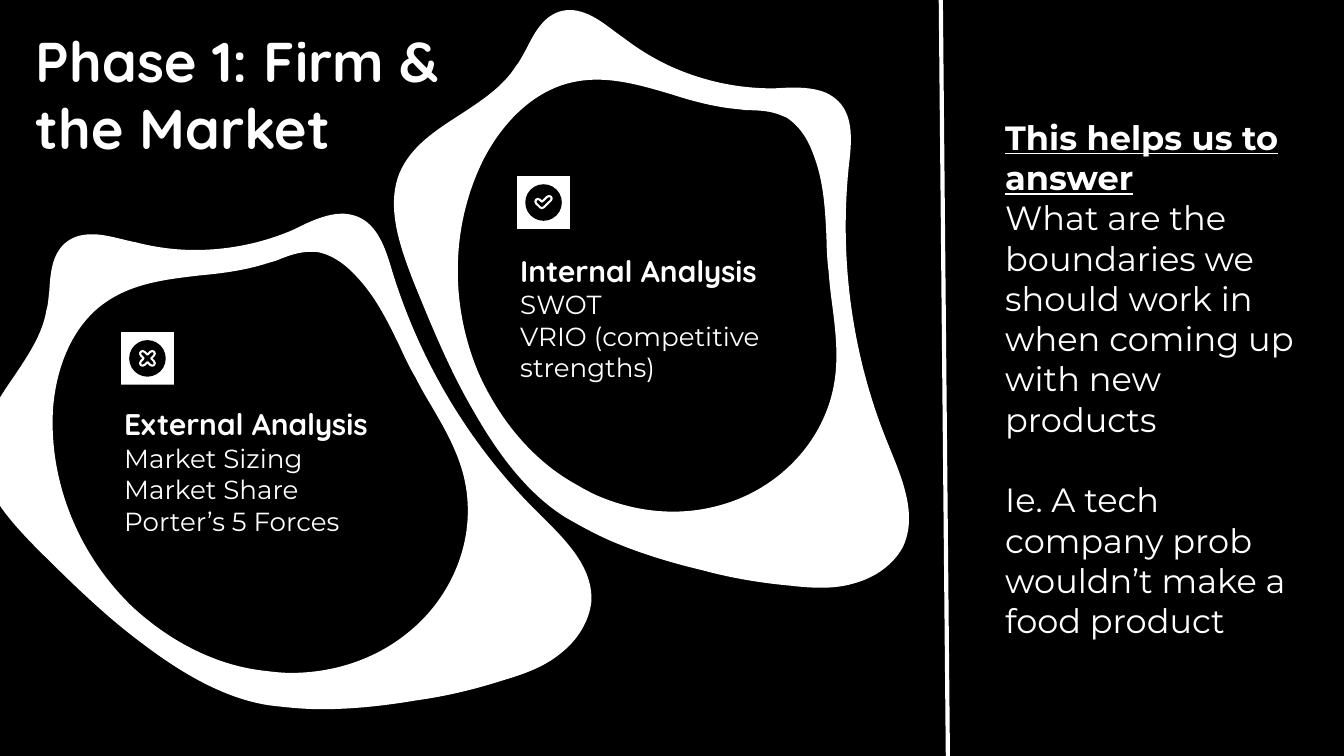
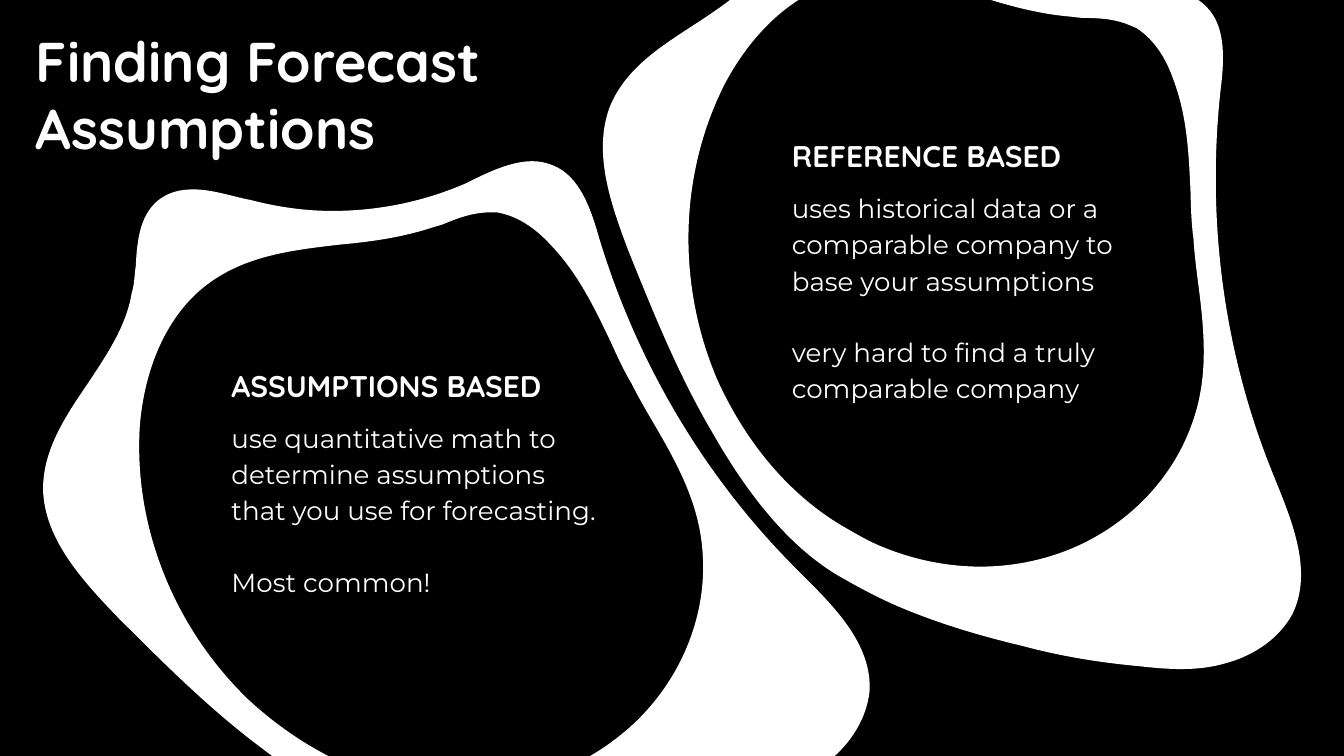
from lxml import etree
from pptx import Presentation
from pptx.dml.color import RGBColor
from pptx.enum.shapes import MSO_CONNECTOR, MSO_SHAPE
from pptx.enum.text import MSO_ANCHOR, MSO_AUTO_SIZE, PP_ALIGN
from pptx.oxml.ns import qn
from pptx.util import Pt

RECT, OVAL = MSO_SHAPE.RECTANGLE, MSO_SHAPE.OVAL
STRAIGHT = MSO_CONNECTOR.STRAIGHT
TOP, LEFT, FIXED = MSO_ANCHOR.TOP, PP_ALIGN.LEFT, MSO_AUTO_SIZE.NONE

BLACK = RGBColor(0, 0, 0)
WHITE = RGBColor(255, 255, 255)
HEAD, BODY = "Quicksand", "Montserrat"
INSET = 7.2
LAYOUT = 4  # title with two headed columns
TILT = 23

# Ring tracks on a grid: a start, then curves (6 numbers) and lines (2)
GRID = (614, 501)
HOLE = [
    (331, 36), (333, 36, 335, 36, 337, 36), (355, 39, 369, 51, 378, 61),
    (398, 82, 410, 107, 422, 132), (427, 143, 432, 154, 438, 164),
    (442, 172, 446, 179, 450, 186), (470, 220, 489, 252, 491, 292),
    (494, 342, 471, 393, 430, 426), (397, 453, 355, 467, 311, 467),
    (303, 467, 294, 466, 286, 465), (237, 460, 190, 436, 151, 400),
    (95, 346, 65, 270, 70, 195), (74, 148, 93, 109, 123, 88),
    (151, 68, 185, 64, 219, 60), (241, 58, 264, 55, 286, 48),
    (289, 47, 293, 46, 296, 45), (308, 40, 319, 36, 331, 36),
]
RIM = [
    (363, 0), (350, 0, 335, 6, 321, 13), (319, 14, 317, 15, 315, 16),
    (283, 30, 249, 37, 214, 37), (194, 37, 173, 34, 154, 29), (149, 28),
    (136, 25, 123, 21, 111, 21), (101, 21, 92, 23, 84, 30),
    (72, 41, 70, 58, 69, 77), (68, 84, 68, 91, 66, 97),
    (62, 122, 47, 144, 33, 165), (16, 190, 0, 214, 0, 243),
    (1, 279, 28, 309, 55, 337), (89, 371, 124, 406, 163, 435),
    (210, 471, 251, 491, 289, 497), (305, 499, 324, 501, 343, 501),
    (371, 501, 403, 498, 438, 492), (467, 488, 496, 481, 524, 472),
    (544, 466, 565, 459, 582, 445), (600, 431, 611, 412, 613, 393),
    (615, 358, 586, 330, 562, 306), (558, 302),
    (490, 234, 440, 149, 412, 57), (406, 36, 398, 11, 378, 3),
    (373, 1, 368, 0, 363, 0),
]

# Icon marks in points from the centre of the disk
ARM = [(1.5, -3.5), (2.9, -4.9, 4.9, -2.9, 3.5, -1.5), (2, 0)]
CHECK = [
    (-2, -1.5), (-0.8, -0.4), (2, -3.1), (3.4, -4.3, 5.2, -2.5, 4, -1.2),
    (0.1, 2.6), (-0.5, 3.2, -1.2, 3.2, -1.8, 2.6), (-4, 0.5),
    (-5.2, -0.8, -3.4, -2.9, -2, -1.5),
]


def spin(part):
    """Turn a part a quarter round the centre."""
    return tuple(n for x, y in zip(part[::2], part[1::2]) for n in (-y, x))


def cross():
    parts, arm = [(0, -2)], ARM
    for _ in range(4):
        parts += arm
        arm = [spin(part) for part in arm]
    return parts


def outline(slide, left, top, tracks, units):
    """Draw closed tracks as one freeform, with true curves."""
    tracks = [[[round(n * units[i % 2]) for i, n in enumerate(part)]
               for part in track] for track in tracks]
    build = None
    for track in tracks:
        if build is None:
            build = slide.shapes.build_freeform(*track[0])
        else:
            build.move_to(*track[0])
        build.add_line_segments([part[-2:] for part in track[1:]], close=True)
    shape = build.convert_to_shape(Pt(left), Pt(top))

    # Bend each segment that has control points
    parts = [part for track in tracks for part in track]
    base = min(part[-2] for part in parts), min(part[-1] for part in parts)
    steps = [part for track in tracks for part in track[1:]]
    lines = list(shape._element.iter(qn("a:lnTo")))
    for line, part in zip(lines, steps):
        if len(part) == 6:
            curve = etree.Element(qn("a:cubicBezTo"))
            for x, y in zip(part[::2], part[1::2]):
                etree.SubElement(curve, qn("a:pt"),
                                 x=str(x - base[0]), y=str(y - base[1]))
            line.getparent().replace(line, curve)
    return shape


def paint(shape, fill, edge=None, width=0):
    shape.shadow.inherit = False
    shape.fill.solid()
    shape.fill.fore_color.rgb = fill
    if edge is None:
        shape.line.fill.background()
    else:
        shape.line.color.rgb = edge
        shape.line.width = Pt(width)


def ring(slide, left, top, width, height, turn=0):
    units = Pt(width) / GRID[0], Pt(height) / GRID[1]
    shape = outline(slide, left, top, [HOLE, RIM], units)
    paint(shape, WHITE, WHITE, 1.5)
    shape.rotation = turn


def icon(slide, x, y, mark):
    for kind, size, color in ((RECT, 28.2, WHITE), (OVAL, 19.6, BLACK)):
        shape = slide.shapes.add_shape(kind, Pt(x - size / 2), Pt(y - size / 2),
                                       Pt(size), Pt(size))
        paint(shape, color)
    paint(outline(slide, x, y, [mark], (Pt(1), Pt(1))), BLACK, WHITE, 1.1)


def write(box, place, lines, font, size, bold=False, space=1, gaps=()):
    """Place a text shape and fill it, one paragraph a line."""
    box.left, box.top, box.width, box.height = (Pt(n) for n in place)
    frame = box.text_frame
    frame.word_wrap = True
    frame.auto_size = FIXED
    frame.vertical_anchor = TOP
    frame.margin_left = frame.margin_right = Pt(INSET)
    frame.margin_top = frame.margin_bottom = Pt(INSET)
    for i, line in enumerate(lines):
        para = frame.add_paragraph() if i else frame.paragraphs[0]
        props = para._p.get_or_add_pPr()
        props.set("marL", "0")
        props.set("indent", "0")
        etree.SubElement(props, qn("a:buNone"))
        para.alignment = LEFT
        para.line_spacing = space
        para.space_before = Pt(gaps[i] if gaps else 0)
        para.space_after = Pt(0)
        run = para.add_run()
        run.text = line
        run.font.name = font
        run.font.size = Pt(size)
        run.font.bold = bold
        run.font.color.rgb = WHITE
    return frame


def topic(slide, index, left, top, width, drop, name, lines, **style):
    """Fill a heading and the list below it."""
    holders = slide.placeholders
    write(holders[index], (left, top, width, drop + 3), [name], HEAD, 16, True)
    write(holders[index + 1], (left, top + drop, width, 96.5 if style else 70.5),
          lines, BODY, 14, **style)


def start(deck, title, width):
    slide = deck.slides.add_slide(deck.slide_layouts[LAYOUT])
    write(slide.shapes.title, (11.9, 7, width, 87), [title], HEAD, 30, True)
    return slide


def rule(slide, x1, y1, x2, y2):
    line = slide.shapes.add_connector(STRAIGHT, Pt(x1), Pt(y1), Pt(x2), Pt(y2))
    line.line.color.rgb = WHITE
    line.line.width = Pt(2.25)
    etree.SubElement(line._element.spPr, qn("a:effectLst"))


def market(deck):
    slide = start(deck, "Phase 1: Firm & the Market", 235)
    topic(slide, 1, 59.3, 210.2, 155.5, 19.6, "External Analysis",
          ["Market Sizing", "Market Share", "Porter’s 5 Forces"])
    topic(slide, 3, 271.5, 128, 155.5, 19.5, "Internal Analysis",
          ["SWOT", "VRIO (competitive strengths)"])
    icon(slide, 79, 192, cross())
    icon(slide, 291.2, 108.5, CHECK)
    ring(slide, -9.4, 115.2, 326, 264)
    ring(slide, 200.2, 28.1, 325.5, 264.5, TILT)

    # Side column
    rule(slide, 504, -0.7, 507.8, 406)
    place = (531.4, 55.2, 170, 294.5)
    box = slide.shapes.add_textbox(*(Pt(n) for n in place))
    frame = write(box, place, [
        "This helps us to answer",
        "What are the boundaries we should work in when coming up with new products",
        "Ie. A tech company prob wouldn’t make a food product",
    ], BODY, 18, gaps=(0, 0, 21.6))
    lead = frame.paragraphs[0].runs[0].font
    lead.bold = lead.underline = True


def forecast(deck):
    slide = start(deck, "Finding Forecast Assumptions", 294)
    topic(slide, 1, 116.8, 189.7, 211, 27, "ASSUMPTIONS BASED",
          ["use quantitative math to determine assumptions that you use for forecasting.",
           "Most common!"], space=1.15, gaps=(0, 19.2))
    topic(slide, 3, 417, 66.6, 211, 27, "REFERENCE BASED",
          ["uses historical data or a comparable company to base your assumptions",
           "very hard to find a truly comparable company"],
          space=1.15, gaps=(0, 19.2))
    ring(slide, 23.8, 87.1, 442, 361)
    ring(slide, 308, -32.4, 442, 361, TILT)


def main():
    deck = Presentation()
    deck.slide_width, deck.slide_height = Pt(720), Pt(405)
    back = deck.slide_master.background.fill
    back.solid()
    back.fore_color.rgb = BLACK
    market(deck)
    forecast(deck)
    deck.save("out.pptx")


if __name__ == "__main__":
    main()
